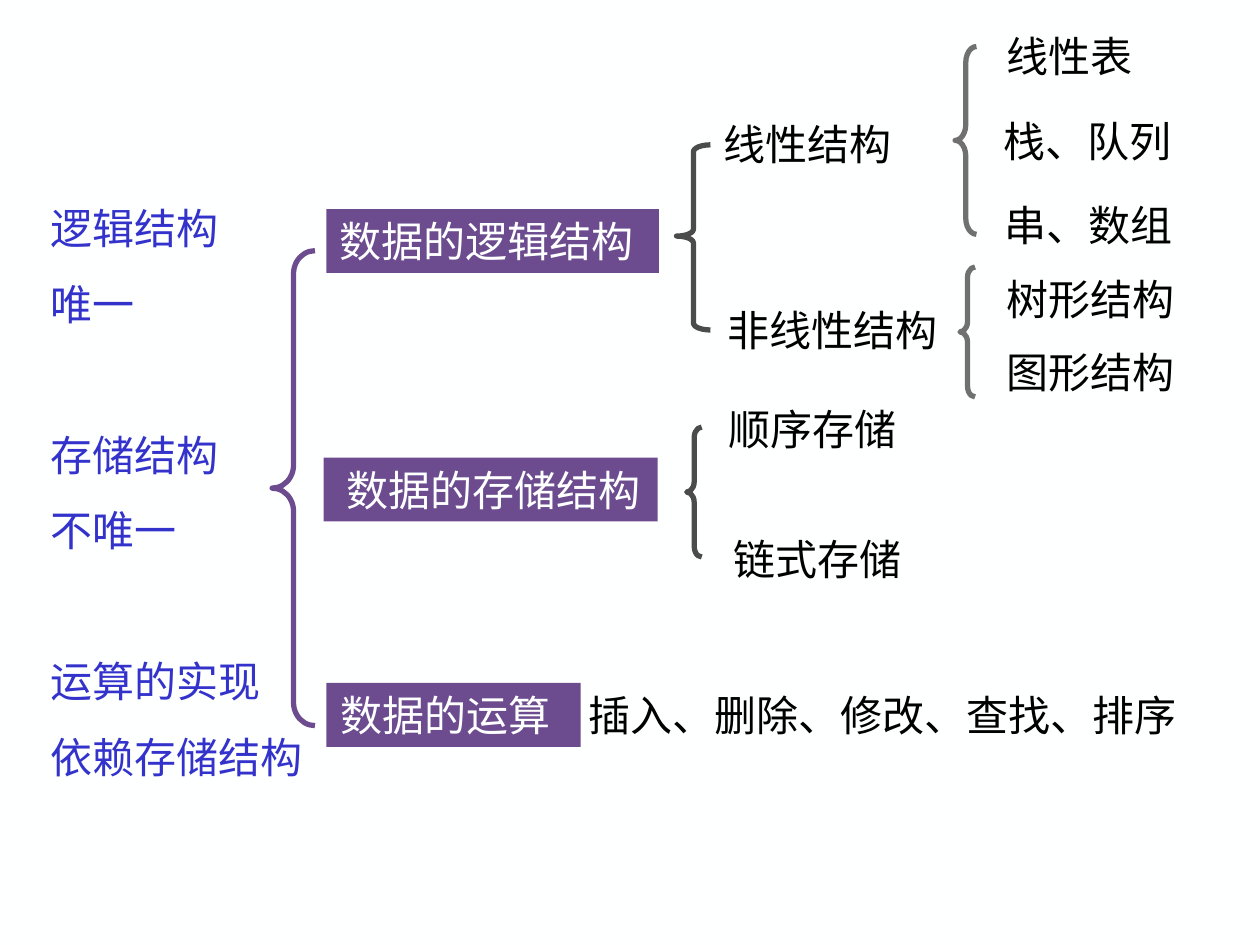
from dataclasses import dataclass

from pptx import Presentation
from pptx.dml.color import RGBColor
from pptx.enum.shapes import MSO_SHAPE
from pptx.enum.text import MSO_ANCHOR, PP_ALIGN
from pptx.util import Pt

RECTANGLE, LEFT_BRACE = MSO_SHAPE.RECTANGLE, MSO_SHAPE.LEFT_BRACE
LEFT, MIDDLE, TOP = PP_ALIGN.LEFT, MSO_ANCHOR.MIDDLE, MSO_ANCHOR.TOP


@dataclass(frozen=True)
class Theme:
    background: str = "FEFFFF"
    purple: str = "6C4C8F"
    dark_gray: str = "4B4B4B"
    mid_gray: str = "707070"
    black: str = "000000"
    blue: str = "3333CC"
    font: str = "Times New Roman"
    size: float = 24
    brace_width: float = 3
    row_height: float = 36.5


@dataclass(frozen=True)
class Box:
    left: float
    top: float
    width: float
    height: float

    def inner(self, left, top, width, height):
        """Return a box whose offset is counted from this one's corner."""
        return Box(self.left + left, self.top + top, width, height)

    def points(self):
        return [Pt(value) for value in (self.left, self.top, self.width, self.height)]


THEME = Theme()


def rgb(value):
    return RGBColor.from_string(value)


def write(shape, lines, color=THEME.black, inset=0, anchor=MIDDLE,
          line_spacing=1, gap=0, gap_before=()):
    """Fill a shape with lines; those in gap_before get extra space above."""
    frame = shape.text_frame
    frame.word_wrap = True
    frame.vertical_anchor = anchor
    frame.margin_left = Pt(inset)
    frame.margin_right = Pt(0)
    for index, line in enumerate(lines):
        para = frame.paragraphs[0] if index == 0 else frame.add_paragraph()
        para.alignment = LEFT
        para.line_spacing = line_spacing
        if index in gap_before:
            para.space_before = Pt(gap)
        span = para.add_run()
        span.text = line
        span.font.name = THEME.font
        span.font.size = Pt(THEME.size)
        span.font.color.rgb = rgb(color)


def add_label(page, box, text):
    """Place one line of text at the box's left edge."""
    write(page.shapes.add_textbox(*box.points()), [text])


def add_brace(page, box, color, curve, tip=0.5):
    brace = page.shapes.add_shape(LEFT_BRACE, *box.points())
    brace.shadow.inherit = False
    brace.fill.background()
    brace.line.color.rgb = rgb(color)
    brace.line.width = Pt(THEME.brace_width)
    brace.adjustments[0] = curve
    brace.adjustments[1] = tip


def add_notes(page, box):
    lines = ["逻辑结构", "唯一", "存储结构", "不唯一", "运算的实现", "依赖存储结构"]
    write(page.shapes.add_textbox(*box.points()), lines, color=THEME.blue,
          inset=7.2, anchor=TOP, line_spacing=1.5, gap=43.1, gap_before=(2, 4))


def add_categories(page, box):
    """Draw the main brace and the three purple headings."""
    add_brace(page, box.inner(0, 23.8, 24.5, 271.4), THEME.purple, 0.537)
    headings = [
        ("数据的逻辑结构", 31, 0, 190, 7.4),
        ("数据的存储结构", 29.5, 142, 190.8, 13.2),
        ("数据的运算", 31, 270.8, 145.4, 8),
    ]
    for text, left, top, width, inset in headings:
        place = box.inner(left, top, width, THEME.row_height)
        heading = page.shapes.add_shape(RECTANGLE, *place.points())
        heading.shadow.inherit = False
        heading.fill.solid()
        heading.fill.fore_color.rgb = rgb(THEME.purple)
        heading.line.fill.background()
        write(heading, [text], color=THEME.background, inset=inset)


def add_branch(page, box, color, curve, items, tip=0.5):
    """Draw a brace filling the box, and items as (text, left, top) beside it."""
    add_brace(page, box, color, curve, tip)
    for text, left, top in items:
        width = THEME.size * len(text) + 6
        add_label(page, box.inner(left, top, width, THEME.row_height), text)


def main():
    deck = Presentation()
    deck.slide_width, deck.slide_height = Pt(720), Pt(540)
    page = deck.slides.add_slide(deck.slide_layouts[6])
    page.background.fill.solid()
    page.background.fill.fore_color.rgb = rgb(THEME.background)

    add_notes(page, Box(21.6, 97.9, 160, 351.4))
    add_categories(page, Box(155.5, 119.5, 222, 307.5))
    add_branch(page, Box(386.6, 82.8, 19.4, 105.8), THEME.dark_gray, 0.203,
               [("线性结构", 27, -18.7), ("非线性结构", 29, 87.1)], tip=0.493)
    add_branch(page, Box(392.4, 244.1, 8.6, 74.2), THEME.dark_gray, 0.688,
               [("顺序存储", 24, -17.3), ("链式存储", 26.5, 56.9)])
    add_branch(page, Box(545.8, 26.6, 12.2, 107.3), THEME.mid_gray, 0.743,
               [("线性表", 29.5, -12.9), ("栈、队列", 27.8, 35.3),
                ("串、数组", 28.3, 83.6)])
    add_branch(page, Box(548.6, 152.6, 8.6, 74.2), THEME.mid_gray, 0.688,
               [("树形结构", 26.7, 0), ("图形结构", 26.7, 41.8)])
    add_label(page, Box(336.2, 390.3, 350, THEME.row_height), "插入、删除、修改、查找、排序")
    deck.save("out.pptx")


if __name__ == "__main__":
    main()
